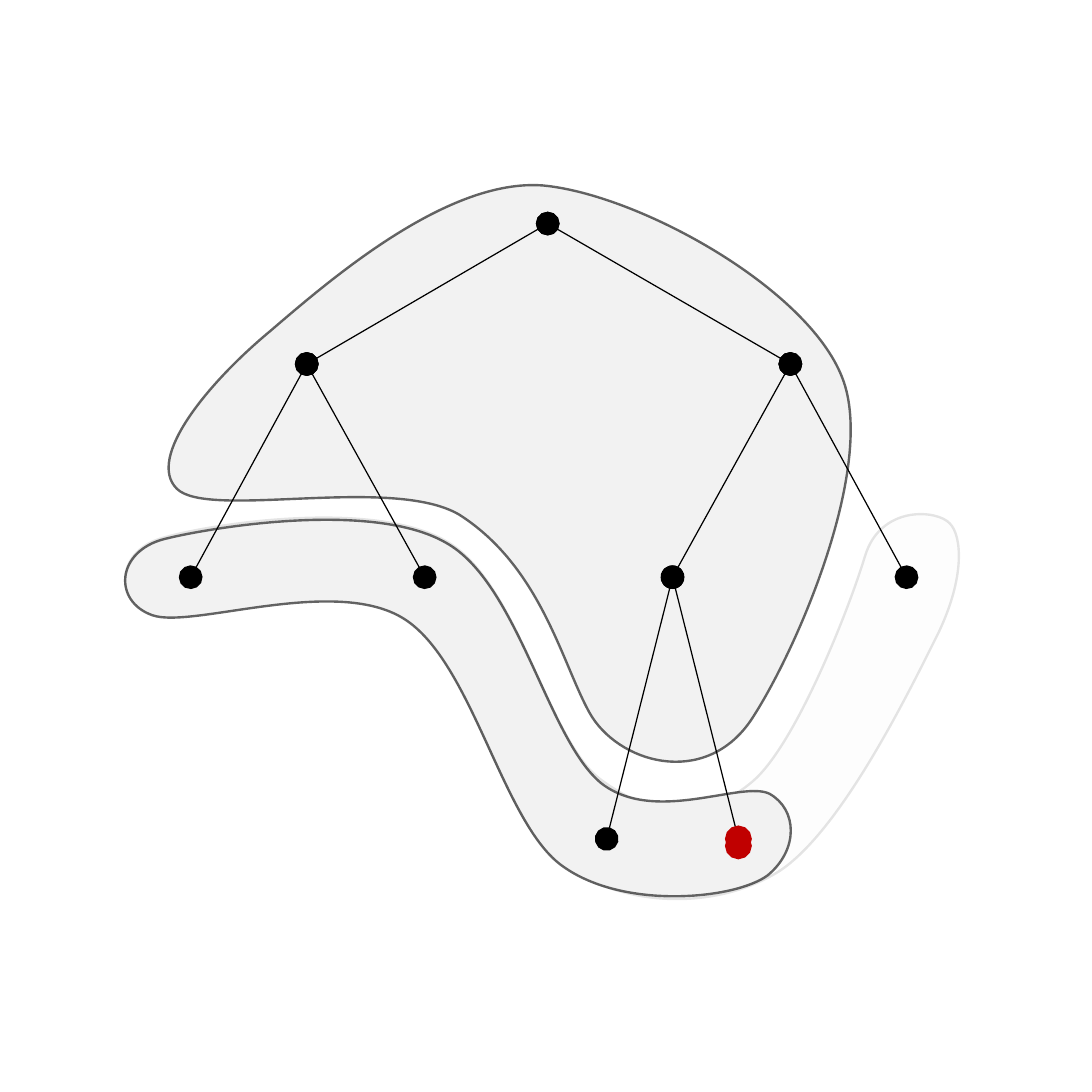
from lxml.etree import SubElement
from pptx import Presentation
from pptx.dml.color import RGBColor
from pptx.enum.shapes import MSO_CONNECTOR
from pptx.oxml.ns import qn
from pptx.util import Inches, Pt

BLACK = RGBColor(0x00, 0x00, 0x00)
RED = RGBColor(0xC0, 0x00, 0x00)
LIGHT_GRAY = RGBColor(0xF2, 0xF2, 0xF2)

SLIDE_SIZE = 6.3

FADED_FRONTIER = {
    "fill_opacity": 10, "line_opacity": 10,
    "frame": (0.72, 2.97, 4.81, 2.22),
    "start": (0.95, 3.1),
    "curves": [
        ((1.23, 3.02), (2.15, 2.88), (2.57, 3.12)),
        ((2.99, 3.35), (3.16, 4.28), (3.47, 4.5)),
        ((3.78, 4.73), (4.08, 4.73), (4.34, 4.51)),
        ((4.59, 4.3), (4.9, 3.51), (4.99, 3.21)),
        ((5.08, 2.91), (5.41, 2.94), (5.48, 3.02)),
        ((5.55, 3.09), (5.57, 3.33), (5.41, 3.66)),
        ((5.24, 4), (4.85, 4.8), (4.49, 5.03)),
        ((4.13, 5.25), (3.61, 5.24), (3.25, 4.99)),
        ((2.89, 4.75), (2.73, 3.81), (2.33, 3.56)),
        ((1.93, 3.31), (1.11, 3.62), (0.88, 3.54)),
        ((0.65, 3.46), (0.67, 3.17), (0.95, 3.1)),
    ],
}
CURRENT_FRONTIER = {
    "fill_opacity": 100, "line_opacity": 60,
    "frame": (0.72, 3, 3.84, 2.17),
    "start": (0.95, 3.11),
    "curves": [
        ((1.23, 3.04), (2.15, 2.89), (2.57, 3.13)),
        ((2.99, 3.36), (3.16, 4.27), (3.47, 4.52)),
        ((3.78, 4.76), (4.28, 4.5), (4.44, 4.58)),
        ((4.6, 4.67), (4.61, 4.9), (4.43, 5.05)),
        ((4.24, 5.19), (3.6, 5.25), (3.25, 5)),
        ((2.9, 4.76), (2.73, 3.82), (2.33, 3.57)),
        ((1.93, 3.32), (1.11, 3.63), (0.88, 3.55)),
        ((0.65, 3.47), (0.67, 3.18), (0.95, 3.11)),
    ],
}
INNER_NODES = {
    "fill_opacity": 100, "line_opacity": 60,
    "frame": (0.97, 1.07, 3.94, 3.33),
    "start": (1.02, 2.82),
    "curves": [
        ((0.84, 2.64), (1.21, 2.2), (1.56, 1.91)),
        ((1.91, 1.61), (2.58, 1.03), (3.13, 1.07)),
        ((3.68, 1.12), (4.66, 1.66), (4.86, 2.18)),
        ((5.06, 2.69), (4.59, 3.77), (4.33, 4.16)),
        ((4.06, 4.55), (3.56, 4.4), (3.4, 4.11)),
        ((3.24, 3.82), (3.12, 3.27), (2.65, 2.97)),
        ((2.26, 2.74), (1.2, 3), (1.02, 2.82)),
    ],
}
REGIONS = [FADED_FRONTIER, CURRENT_FRONTIER, INNER_NODES]

NODES = {
    "root": (3.16, 1.29),
    "left": (1.77, 2.1),
    "right": (4.56, 2.1),
    "left leaf 1": (1.1, 3.33),
    "left leaf 2": (2.45, 3.33),
    "right inner": (3.88, 3.33),
    "right leaf": (5.23, 3.33),
    "deep leaf 1": (3.5, 4.84),
    "deep leaf 2": (4.26, 4.84),
    "marker end": (4.26, 4.88),
}

TREE_LINE = {"color": BLACK, "width": Pt(0.5)}
MARKER_LINE = {"color": RED, "width": Pt(2.25)}

EDGES = [
    ("right", "root", TREE_LINE),
    ("left", "root", TREE_LINE),
    ("right inner", "right", TREE_LINE),
    ("deep leaf 1", "right inner", TREE_LINE),
    ("right leaf", "right", TREE_LINE),
    ("deep leaf 2", "right inner", TREE_LINE),
    ("left leaf 1", "left", TREE_LINE),
    ("left leaf 2", "left", TREE_LINE),
    ("deep leaf 2", "marker end", MARKER_LINE),
]


def bend_outline(shape, region):
    left, top, width, height = (Inches(value) for value in region["frame"])
    outline = shape.element.xpath(".//a:pathLst/a:path")[0]
    for segment in list(outline):
        outline.remove(segment)
    outline.set("w", str(width))
    outline.set("h", str(height))
    segments = [("a:moveTo", [region["start"]])]
    segments += [("a:cubicBezTo", curve) for curve in region["curves"]]
    for tag, points in segments:
        segment = SubElement(outline, qn(tag))
        for x, y in points:
            SubElement(segment, qn("a:pt"), x=str(Inches(x) - left), y=str(Inches(y) - top))
    SubElement(outline, qn("a:close"))
    for attribute, value in {"left": left, "top": top, "width": width, "height": height}.items():
        setattr(shape, attribute, value)


def set_color(shape, fill, color, opacity, query):
    fill.solid()
    fill.fore_color.rgb = color
    if opacity < 100:
        SubElement(shape.element.xpath(query)[0], qn("a:alpha"), val=str(opacity * 1000))


def add_region(slide, region):
    builder = slide.shapes.build_freeform(*(Inches(value) for value in region["start"]))
    corners = [(Inches(x), Inches(y)) for _, _, (x, y) in region["curves"]]
    builder.add_line_segments(corners, close=True)
    shape = builder.convert_to_shape()
    bend_outline(shape, region)
    shape.shadow.inherit = False
    shape.line.width = Pt(1)
    set_color(shape, shape.fill, LIGHT_GRAY, region["fill_opacity"],
              "./p:spPr/a:solidFill/a:srgbClr")
    set_color(shape, shape.line.fill, BLACK, region["line_opacity"],
              "./p:spPr/a:ln/a:solidFill/a:srgbClr")


def add_edge(slide, start, end, line_format):
    ends = [Inches(value) for value in NODES[start] + NODES[end]]
    connector = slide.shapes.add_connector(MSO_CONNECTOR.STRAIGHT, *ends)
    connector.line.color.rgb = line_format["color"]
    connector.line.width = line_format["width"]
    line_element = connector.element.xpath("./p:spPr/a:ln")[0]
    for tag in ("a:headEnd", "a:tailEnd"):
        SubElement(line_element, qn(tag), type="oval", w="lg", len="lg")
    SubElement(connector.element.spPr, qn("a:effectLst"))


def main():
    presentation = Presentation()
    presentation.slide_width = presentation.slide_height = Inches(SLIDE_SIZE)
    slide = presentation.slides.add_slide(presentation.slide_layouts[6])
    for region in REGIONS:
        add_region(slide, region)
    for start, end, line_format in EDGES:
        add_edge(slide, start, end, line_format)
    presentation.save("out.pptx")


if __name__ == "__main__":
    main()
